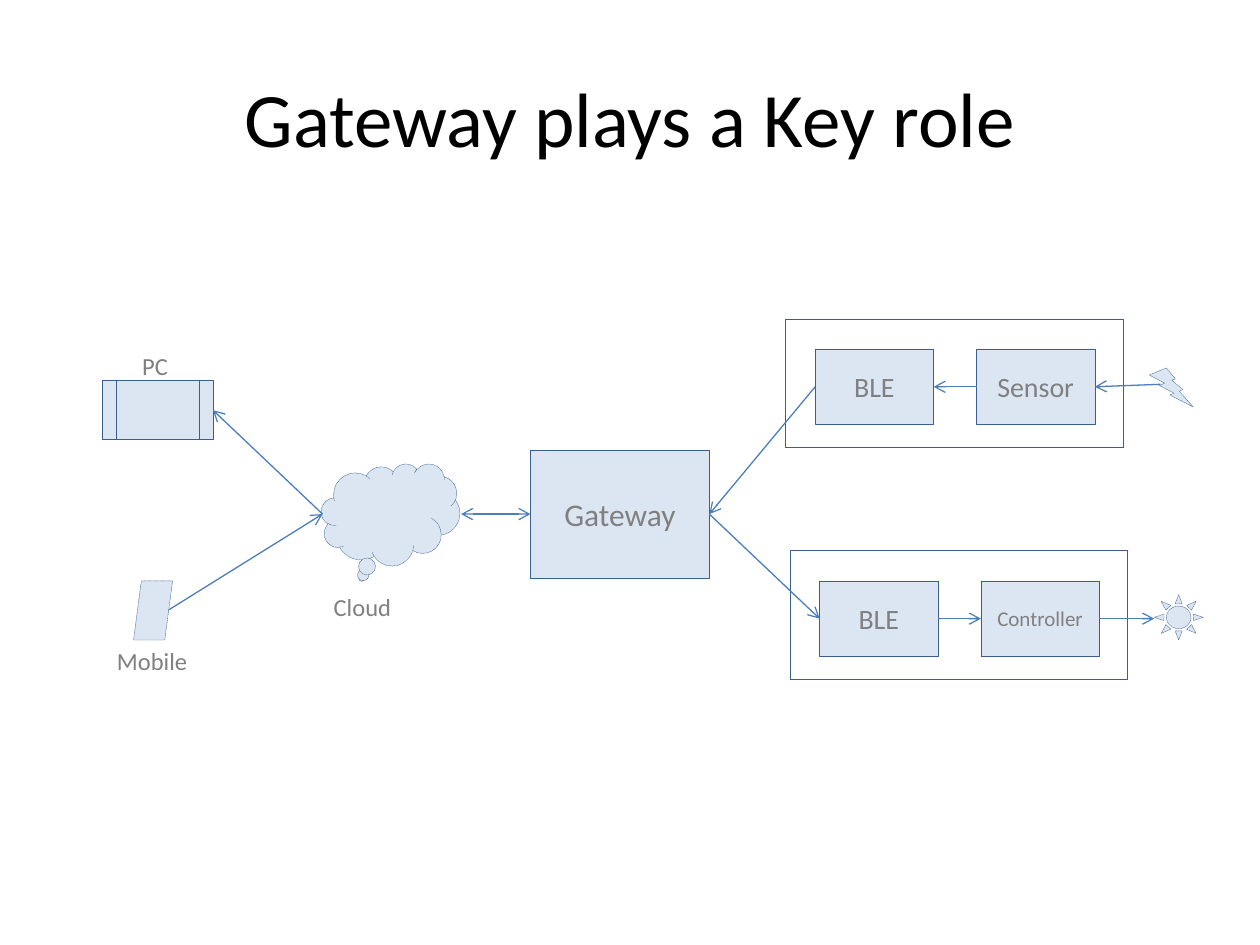
from dataclasses import dataclass

from pptx import Presentation
from pptx.dml.color import RGBColor
from pptx.enum.dml import MSO_LINE
from pptx.enum.shapes import MSO_CONNECTOR, MSO_SHAPE
from pptx.enum.text import MSO_ANCHOR, MSO_AUTO_SIZE, PP_ALIGN
from pptx.oxml.ns import qn
from pptx.util import Inches, Pt
from lxml.etree import SubElement

COLUMNS, ROWS = 100, 75
LEFT, RIGHT = 1, 3


@dataclass(frozen=True)
class Theme:
    font: str = "Calibri"
    title_color: RGBColor = RGBColor(0x00, 0x00, 0x00)
    label_color: RGBColor = RGBColor(0x80, 0x80, 0x80)
    fill: RGBColor = RGBColor(0xDC, 0xE6, 0xF2)
    outline: RGBColor = RGBColor(0x3A, 0x5F, 0x8C)
    arrow: RGBColor = RGBColor(0x4B, 0x7E, 0xBC)
    title_size: int = 44
    gateway_size: int = 18
    node_size: int = 16
    caption_size: int = 14
    small_size: int = 12
    outline_width: float = 0.25
    arrow_width: float = 0.75


class Diagram:
    """Draws on one slide, with positions in grid columns and rows."""

    def __init__(self, presentation, theme):
        self.theme = theme
        self.column = presentation.slide_width / COLUMNS
        self.row = presentation.slide_height / ROWS
        self.slide = presentation.slides.add_slide(presentation.slide_layouts[5])

    def place(self, *lengths):
        units = (self.column, self.row) * 2
        return [round(length * unit) for length, unit in zip(lengths, units)]

    def style(self, paragraph, size, color, alignment):
        paragraph.alignment = alignment
        paragraph.font.name = self.theme.font
        paragraph.font.size = Pt(size)
        paragraph.font.color.rgb = color

    def title(self, text, *box):
        title = self.slide.shapes.title
        title.left, title.top, title.width, title.height = self.place(*box)
        title.text_frame.text = text
        title.text_frame.vertical_anchor = MSO_ANCHOR.MIDDLE
        self.style(title.text_frame.paragraphs[0], self.theme.title_size,
                   self.theme.title_color, PP_ALIGN.CENTER)

    def group(self):
        return self.slide.shapes.add_group_shape().shapes

    def node(self, kind, *box, text="", size=None, filled=True, parent=None):
        shapes = self.slide.shapes if parent is None else parent
        shape = shapes.add_shape(kind, *self.place(*box))
        shape.shadow.inherit = False
        if filled:
            shape.fill.solid()
            shape.fill.fore_color.rgb = self.theme.fill
        else:
            shape.fill.background()
        shape.line.color.rgb = self.theme.outline
        shape.line.width = Pt(self.theme.outline_width)
        shape.line.dash_style = MSO_LINE.ROUND_DOT
        if text:
            shape.text_frame.text = text
            shape.text_frame.vertical_anchor = MSO_ANCHOR.MIDDLE
            self.style(shape.text_frame.paragraphs[0], size or self.theme.node_size,
                       self.theme.label_color, PP_ALIGN.CENTER)
        return shape

    def caption(self, text, *box):
        frame = self.slide.shapes.add_textbox(*self.place(*box)).text_frame
        frame.word_wrap = False
        frame.auto_size = MSO_AUTO_SIZE.SHAPE_TO_FIT_TEXT
        frame.text = text
        self.style(frame.paragraphs[0], self.theme.caption_size,
                   self.theme.label_color, PP_ALIGN.LEFT)

    def arrow(self, begin, end, both=False, parent=None):
        """Each end is a (column, row) point or a (shape, side) pair."""
        shapes = self.slide.shapes if parent is None else parent
        is_point = [isinstance(port[0], (int, float)) for port in (begin, end)]
        points = [self.place(*port) if free else (0, 0)
                  for port, free in zip((begin, end), is_point)]
        connector = shapes.add_connector(MSO_CONNECTOR.STRAIGHT, *points[0], *points[1])
        if not is_point[0]:
            connector.begin_connect(*begin)
        if not is_point[1]:
            connector.end_connect(*end)
        connector.line.color.rgb = self.theme.arrow
        connector.line.width = Pt(self.theme.arrow_width)
        properties = connector.element.spPr
        line = properties.find(qn("a:ln"))
        for tag in ("a:headEnd", "a:tailEnd") if both else ("a:tailEnd",):
            SubElement(line, qn(tag), type="arrow")
        SubElement(properties, qn("a:effectLst"))

    def device(self, left, top, text, size, inbound):
        """A framed radio and its peripheral; returns both boxes."""
        group = self.group()
        self.node(MSO_SHAPE.RECTANGLE, left, top, 26.8, 10.2, filled=False, parent=group)
        radio, peripheral = [
            self.node(MSO_SHAPE.RECTANGLE, left + offset, top + 2.4, 9.4, 6,
                      text=label, size=label_size, parent=group)
            for offset, label, label_size in ((2.35, "BLE", None), (15.15, text, size))
        ]
        ports = (radio, RIGHT), (peripheral, LEFT)
        self.arrow(*(reversed(ports) if inbound else ports), parent=group)
        return radio, peripheral


def main():
    presentation = Presentation()
    presentation.slide_width, presentation.slide_height = Inches(10), Inches(7.5)
    theme = Theme()
    diagram = Diagram(presentation, theme)
    diagram.title("Gateway plays a Key role", 5, 3, 90, 12.5)

    # Gateway and cloud
    gateway = diagram.node(MSO_SHAPE.RECTANGLE, 42.1, 35.7, 14.2, 10.2,
                           text="Gateway", size=theme.gateway_size)
    diagram.node(MSO_SHAPE.CLOUD_CALLOUT, 25.5, 36.8, 11, 8.1)
    diagram.caption("Cloud", 25.5, 46.5, 6.6, 3.4)
    cloud_left, cloud_right = (25.6, 40.8), (36.6, 40.8)
    diagram.arrow((gateway, LEFT), cloud_right, both=True)

    # Sensor and controller devices
    sensor_radio, sensor = diagram.device(62.35, 25.3, "Sensor", None, inbound=True)
    control_radio, controller = diagram.device(
        62.7, 43.7, "Controller", theme.small_size, inbound=False)
    diagram.arrow((sensor_radio, LEFT), (gateway, RIGHT))
    diagram.arrow((gateway, RIGHT), (control_radio, LEFT))

    # Input and output of the devices
    diagram.node(MSO_SHAPE.LIGHTNING_BOLT, 91.2, 29.2, 3.5, 3.1)
    diagram.node(MSO_SHAPE.SUN, 91.6, 47.2, 3.9, 3.6)
    diagram.arrow((92.1, 30.5), (sensor, RIGHT))
    diagram.arrow((controller, RIGHT), (91.6, 49.1))

    # User terminals
    computer = diagram.node(MSO_SHAPE.FLOWCHART_PREDEFINED_PROCESS, 8.1, 30.2, 8.8, 4.7)
    diagram.caption("PC", 10.3, 27.4, 4.1, 3.4)
    diagram.node(MSO_SHAPE.FLOWCHART_DATA, 10.6, 46.1, 3.1, 4.7)
    diagram.caption("Mobile", 8.3, 50.8, 7.7, 3.4)
    diagram.arrow(cloud_left, (computer, RIGHT))
    diagram.arrow((13.4, 48.4), cloud_left)

    presentation.save("out.pptx")


if __name__ == "__main__":
    main()
